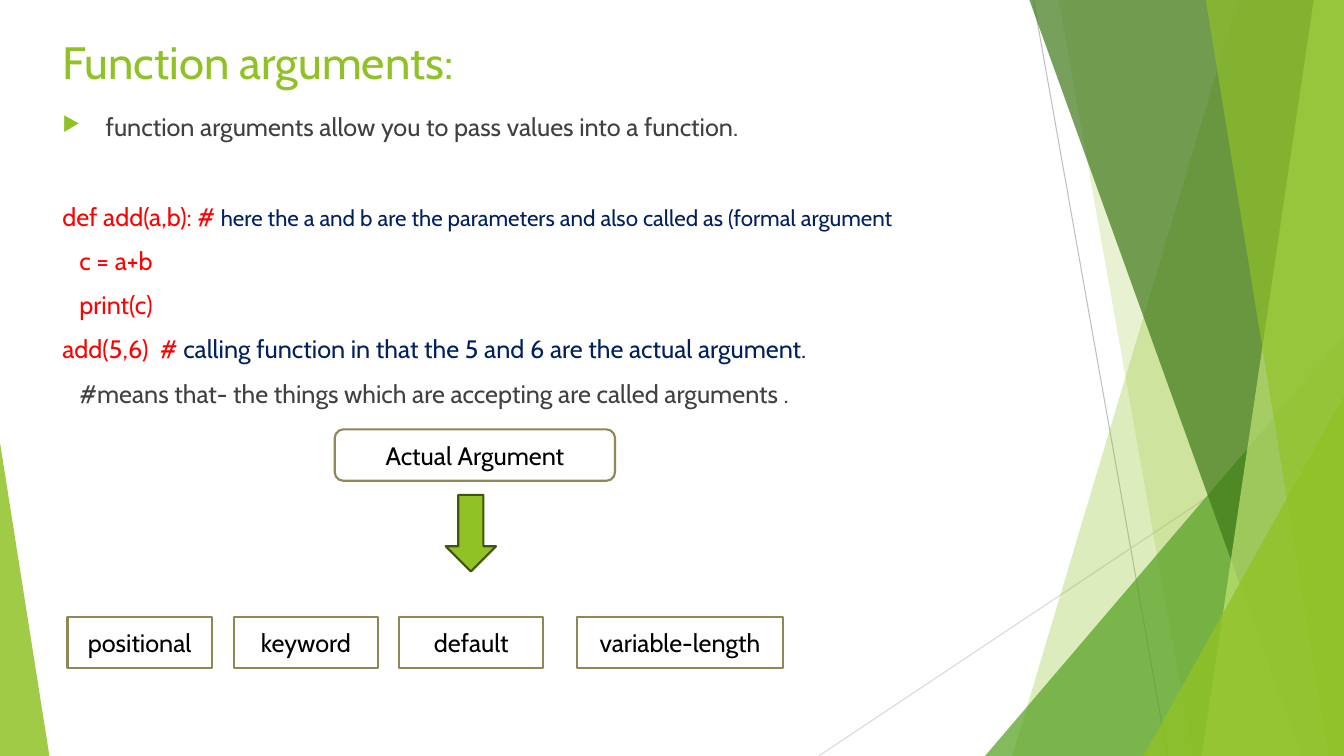
from dataclasses import dataclass

from lxml import etree
from pptx import Presentation
from pptx import util as u
from pptx.dml.color import RGBColor
from pptx.enum import shapes, text
from pptx.oxml.ns import qn


@dataclass(frozen=True)
class Theme:
    font: str = "Cabin"
    title_size: float = 32.4
    body_size: float = 18
    note_size: float = 16
    lime: str = "90C226"
    green: str = "54A021"
    forest: str = "3F7819"
    pale: str = "C0E474"
    arrow_edge: str = "3F5511"
    box_edge: str = "918655"
    white: str = "FFFFFF"
    black: str = "000000"
    grey: str = "404040"
    code: str = "FF0000"
    comment: str = "002060"


THEME = Theme()
WIDTH, HEIGHT = 13.33, 7.5
SHAPE = shapes.MSO_SHAPE


def inches(*values):
    return [u.Inches(value) for value in values]


def paint(shape, fill, edge=None, opacity=100):
    shape.shadow.inherit = False
    shape.fill.solid()
    shape.fill.fore_color.rgb = RGBColor.from_string(fill)
    if opacity < 100:
        color = shape.fill._xPr.find(qn("a:solidFill"))[0]
        etree.SubElement(color, qn("a:alpha"), val=str(opacity * 1000))
    if edge:
        shape.line.color.rgb = RGBColor.from_string(edge)
        shape.line.width = u.Pt(1.5)
    else:
        shape.line.fill.background()


def write(para, content, size=THEME.body_size, color=THEME.black, align=None, before=0):
    """Append one run of text to a paragraph."""
    if align is not None:
        para.alignment = align
    if before:
        para.space_before = u.Pt(before)
    span = para.add_run()
    span.text = content
    span.font.name = THEME.font
    span.font.size = u.Pt(size)
    span.font.color.rgb = RGBColor.from_string(color)


def add_bullet(para, indent):
    props = para._p.get_or_add_pPr()
    props.set("marL", str(u.Inches(indent)))
    props.set("indent", str(-u.Inches(indent)))
    color = etree.SubElement(props, qn("a:buClr"))
    etree.SubElement(color, qn("a:srgbClr"), val=THEME.lime)
    etree.SubElement(props, qn("a:buSzPct"), val="80000")
    etree.SubElement(props, qn("a:buChar"), char="▶")


def add_preset(page, kind, place, fill, edge=None, opacity=100, adjust=None):
    shape = page.shapes.add_shape(kind, *inches(*place))
    paint(shape, fill, edge, opacity)
    if adjust is not None:
        shape.adjustments[0] = adjust
    return shape


def add_facet(page, top, bottom, fill, opacity):
    """Band from a slanted left edge to the right side of the slide."""
    builder = page.shapes.build_freeform(*inches(top, 0), scale=1.0)
    corners = [(WIDTH, 0), (WIDTH, HEIGHT), (bottom, HEIGHT)]
    builder.add_line_segments([inches(*corner) for corner in corners], close=True)
    paint(builder.convert_to_shape(), fill, opacity=opacity)


def add_hairline(page, ends, color):
    line = page.shapes.add_connector(shapes.MSO_CONNECTOR.STRAIGHT, *inches(*ends))
    line.line.color.rgb = RGBColor.from_string(color)
    line.line.width = u.Pt(0.75)
    etree.SubElement(line._element.spPr, qn("a:effectLst"))


def add_corner(page, left, top, width, fill, opacity, apex):
    place = (left, top, width, HEIGHT - top)
    add_preset(page, SHAPE.ISOSCELES_TRIANGLE, place, fill, opacity=opacity, adjust=apex)


def add_decoration(page):
    add_hairline(page, (10.25, 0, 11.58, HEIGHT), "BFBFBF")
    add_hairline(page, (WIDTH, 4.03, 8.12, HEIGHT), "D9D9D9")
    add_facet(page, 12.28, 10.04, THEME.lime, 30)
    add_facet(page, 10.5, 11.83, THEME.lime, 20)
    add_corner(page, 9.77, 3.33, 3.56, THEME.green, 72, apex=1)
    add_facet(page, 10.21, 12.91, THEME.forest, 70)
    add_facet(page, 13.03, 11.92, THEME.pale, 70)
    add_facet(page, 11.96, 13.18, THEME.lime, 65)
    add_corner(page, 11.34, 3.93, 1.99, THEME.lime, 80, apex=1)
    add_corner(page, 0, 4.39, 0.49, THEME.lime, 85, apex=0)


def add_title(page, content):
    title = page.shapes.title
    title.left, title.top, title.width, title.height = inches(0.52, 0.29, 9.4, 0.6)
    title.text_frame.vertical_anchor = text.MSO_ANCHOR.TOP
    write(title.text_frame.paragraphs[0], content, size=THEME.title_size,
          color=THEME.lime, align=text.PP_ALIGN.LEFT)


def add_body(page, intro, code_lines):
    box = page.shapes.add_textbox(*inches(0.52, 1.06, 9.62, 3.15))
    frame = box.text_frame
    frame.word_wrap = True
    add_bullet(frame.paragraphs[0], 0.43)
    write(frame.paragraphs[0], intro, color=THEME.grey)
    for index, spans in enumerate(code_lines):
        para = frame.add_paragraph()
        for content, color, size in spans:
            # The first code line stands one line lower
            write(para, content, size=size, color=color, before=10 if index else 42)


def add_label(page, kind, place, content):
    shape = add_preset(page, kind, place, THEME.white, edge=THEME.box_edge)
    shape.text_frame.vertical_anchor = text.MSO_ANCHOR.MIDDLE
    shape.text_frame.word_wrap = True
    write(shape.text_frame.paragraphs[0], content, align=text.PP_ALIGN.CENTER)


def main():
    deck = Presentation()
    deck.slide_width, deck.slide_height = inches(WIDTH, HEIGHT)
    page = deck.slides.add_slide(deck.slide_layouts[5])
    add_decoration(page)

    # Title and code example
    add_title(page, "Function arguments:")
    size = THEME.body_size
    add_body(page, "function arguments allow you to pass values into a function.", [
        [("def add(a,b): # ", THEME.code, size),
         ("here the a and b are the parameters and also called as (formal argument",
          THEME.comment, THEME.note_size)],
        [("   c = a+b", THEME.code, size)],
        [("   print(c)", THEME.code, size)],
        [("add(5,6)  #", THEME.code, size),
         (" calling function in that the 5 and 6 are the actual argument.",
          THEME.comment, size)],
        [("   #means that- the things which are accepting are called arguments .",
          THEME.grey, size)],
    ])

    # Kinds of actual argument
    add_label(page, SHAPE.ROUNDED_RECTANGLE, (3.32, 4.26, 2.78, 0.51), "Actual Argument")
    add_preset(page, SHAPE.DOWN_ARROW, (4.42, 4.91, 0.5, 0.76), THEME.lime,
               edge=THEME.arrow_edge)
    kinds = [("positional", 0.67, 1.43), ("keyword", 2.32, 1.43),
             ("default", 3.96, 1.43), ("variable-length", 5.72, 2.05)]
    for name, left, width in kinds:
        add_label(page, SHAPE.RECTANGLE, (left, 6.12, width, 0.51), name)

    deck.save("out.pptx")


if __name__ == "__main__":
    main()
